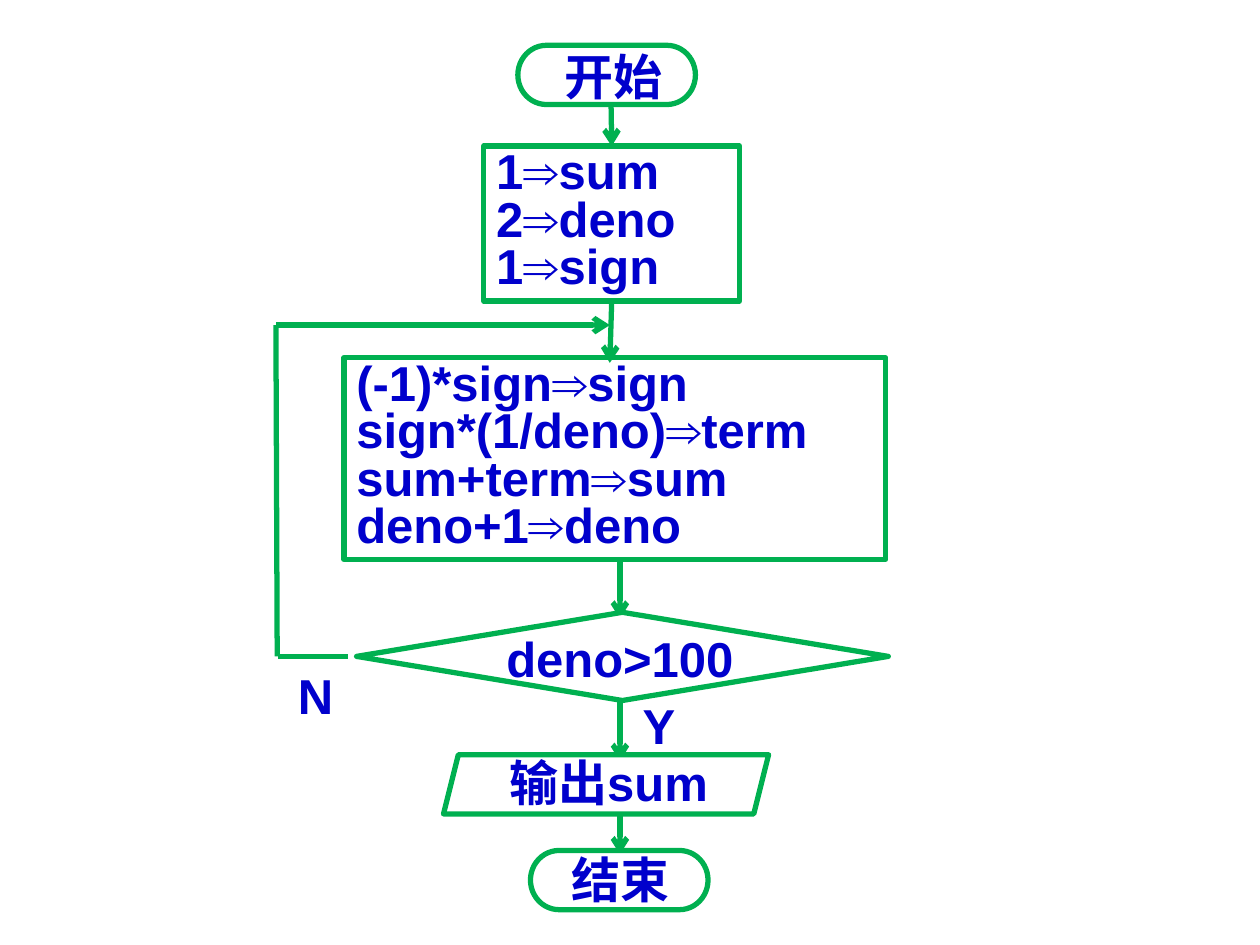
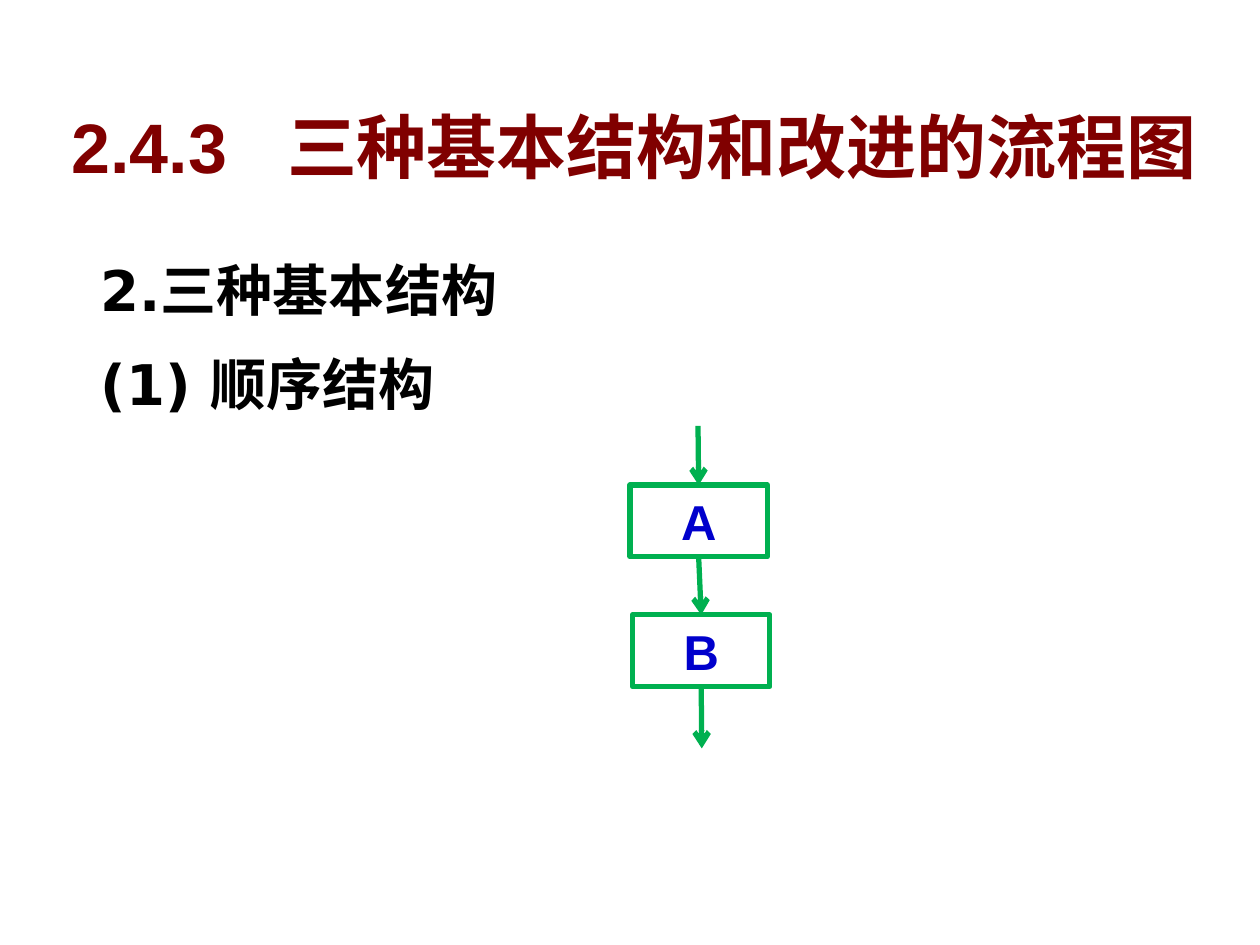
from typing import NamedTuple, Optional

from lxml.etree import SubElement
from pptx import Presentation
from pptx.dml.color import RGBColor
from pptx.enum.shapes import MSO_CONNECTOR, MSO_SHAPE as Preset
from pptx.enum.text import MSO_ANCHOR as Anchor, PP_ALIGN as Align
from pptx.oxml import parse_xml
from pptx.oxml.ns import nsdecls, qn
from pptx.util import Pt

PX = 9144  # EMU per px, 100 px to the inch
COLORS = {
    "flow": "00B050",
    "code": "0000CC",
    "title": "800000",
    "body": "000000",
    "paper": "FFFFFF",
}
TOP, BOTTOM = 0, 2  # connection sites


class TextStyle(NamedTuple):
    size: int
    color: str
    font: str = "Arial"


CODE = TextStyle(28, "code")
TITLE = TextStyle(40, "title")
BODY = TextStyle(32, "body", "DejaVu Sans")


class Step(NamedTuple):
    """Rectangle of the flow, with its lines of text."""
    left: int
    top: int
    width: int
    height: int
    text: str
    align: Align = Align.LEFT


class Symbol(NamedTuple):
    """White flow-chart outline, captioned by a Label."""
    preset: Preset
    left: int
    top: int
    width: int
    height: int


class Label(NamedTuple):
    text: str
    left: int
    top: int
    width: int
    height: int = 57
    align: Align = Align.CENTER


class Flow(NamedTuple):
    """Straight line; before and after are the steps it is joined to."""
    x1: int
    y1: int
    x2: int
    y2: int
    arrow: bool = True
    before: Optional[int] = None
    after: Optional[int] = None


def rgb(name: str) -> RGBColor:
    return RGBColor.from_string(COLORS[name])


def write(shape, text: str, style: TextStyle, align: Align = Align.LEFT):
    frame = shape.text_frame
    frame.text = text
    frame.word_wrap = True
    frame.vertical_anchor = Anchor.TOP
    for paragraph in frame.paragraphs:
        paragraph.alignment = align
        for run in paragraph.runs:
            font = run.font
            font.size, font.bold, font.name = Pt(style.size), True, style.font
            font.color.rgb = rgb(style.color)
    return frame


def outline(slide, preset: Preset, *box: int, fill: Optional[str] = None):
    shape = slide.shapes.add_shape(preset, *(n * PX for n in box))
    shape.shadow.inherit = False
    if fill:
        shape.fill.solid()
        shape.fill.fore_color.rgb = rgb(fill)
    else:
        shape.fill.background()
    shape.line.color.rgb = rgb("flow")
    shape.line.width = Pt(3)
    return shape


def draw_step(slide, step: Step):
    box = outline(slide, Preset.RECTANGLE, *step[:4])
    frame = write(box, step.text, CODE, step.align)
    if len(frame.paragraphs) > 1:
        for paragraph in frame.paragraphs:
            paragraph.line_spacing = Pt(27)
    return box


def draw_label(slide, label: Label) -> None:
    box = (label.left, label.top, label.width, label.height)
    caption = slide.shapes.add_textbox(*(n * PX for n in box))
    write(caption, label.text, CODE, label.align)


def draw_flow(slide, flow: Flow, boxes: list) -> None:
    ends = (n * PX for n in flow[:4])
    link = slide.shapes.add_connector(MSO_CONNECTOR.STRAIGHT, *ends)
    link.line.color.rgb = rgb("flow")
    link.line.width = Pt(3)
    if flow.arrow:
        SubElement(link.line._get_or_add_ln(), qn("a:tailEnd"), type="arrow")
    SubElement(link._element.spPr, qn("a:effectLst"))
    if flow.before is not None:
        link.begin_connect(boxes[flow.before], BOTTOM)
    if flow.after is not None:
        link.end_connect(boxes[flow.after], TOP)


def draw_chart(slide, steps, flows, symbols=(), labels=()) -> None:
    boxes = [draw_step(slide, step) for step in steps]
    for flow in flows:
        draw_flow(slide, flow, boxes)
    for symbol in symbols:
        outline(slide, *symbol, fill="paper")
    for label in labels:
        draw_label(slide, label)


def draw_title(slide, text: str) -> None:
    heading = slide.shapes.add_textbox(*(n * PX for n in (47, 59, 914, 113)))
    frame = write(heading, text, TITLE)
    frame.vertical_anchor = Anchor.MIDDLE
    frame.margin_right = 0
    # The tab separates the section number from its name
    paragraph = frame.paragraphs[0]
    tabs = SubElement(paragraph._p.get_or_add_pPr(), qn("a:tabLst"))
    SubElement(tabs, qn("a:tab"), pos=str(171 * PX), algn="l")
    shadow = parse_xml(
        f'<a:effectLst {nsdecls("a")}><a:outerShdw blurRad="38100" dist="38100" '
        'dir="2700000" algn="tl"><a:srgbClr val="C0C0C0"/></a:outerShdw></a:effectLst>'
    )
    for run in paragraph.runs:
        run.font._element.find(qn("a:solidFill")).addnext(shadow)


def draw_body(slide, text: str) -> None:
    body = slide.shapes.add_textbox(*(n * PX for n in (70, 187, 852, 164)))
    for number, paragraph in enumerate(write(body, text, BODY).paragraphs):
        indents = paragraph._p.get_or_add_pPr()
        indents.set("marL", str(38 * PX))
        indents.set("indent", str(-38 * PX))
        paragraph.line_spacing = 1.2
        paragraph.space_before = Pt(8 if number else 0)


# Series sum: loop until deno exceeds 100
SERIES_STEPS = [
    Step(384, 116, 203, 123, "1⇒sum\n2⇒deno\n1⇒sign"),
    Step(273, 284, 430, 160,
         "(-1)*sign⇒sign\nsign*(1/deno)⇒term\nsum+term⇒sum\ndeno+1⇒deno"),
]
SERIES_FLOWS = [
    Flow(485, 85, 484, 116, after=0),
    Flow(485, 241, 484, 288, before=0),
    Flow(492, 444, 492, 491),
    Flow(492, 557, 492, 604),
    Flow(492, 647, 492, 678),
    # Way back for N
    Flow(276, 521, 221, 521, arrow=False),
    Flow(220, 521, 219, 258, arrow=False),
    Flow(219, 258, 484, 258),
]
SERIES_SYMBOLS = [
    Symbol(Preset.FLOWCHART_TERMINATOR, 411, 36, 141, 47),
    Symbol(Preset.FLOWCHART_DECISION, 283, 486, 422, 70),
    Symbol(Preset.PARALLELOGRAM, 352, 599, 258, 47),
    Symbol(Preset.FLOWCHART_TERMINATOR, 421, 675, 141, 47),
]
SERIES_LABELS = [
    Label("开始", 438, 32, 102, align=Align.LEFT),
    Label("deno>100", 359, 494, 266),
    Label("N", 219, 523, 63),
    Label("Y", 492, 547, 62),
    Label("输出sum", 362, 592, 242),
    Label("结束", 444, 669, 102, align=Align.LEFT),
]

# Sequence structure: A, then B
SEQUENCE_STEPS = [
    Step(500, 385, 109, 57, "A", Align.CENTER),
    Step(502, 488, 109, 57, "B", Align.CENTER),
]
SEQUENCE_FLOWS = [
    Flow(554, 338, 554, 385, after=0),
    Flow(555, 441, 555, 488, before=0, after=1),
    Flow(557, 547, 557, 594, before=1),
]


def main() -> None:
    deck = Presentation()
    deck.slide_width, deck.slide_height = 1000 * PX, 750 * PX
    blank = deck.slide_layouts[6]

    series = deck.slides.add_slide(blank)
    draw_chart(series, SERIES_STEPS, SERIES_FLOWS, SERIES_SYMBOLS, SERIES_LABELS)

    sequence = deck.slides.add_slide(blank)
    draw_title(sequence, "2.4.3\t三种基本结构和改进的流程图")
    draw_body(sequence, "2.三种基本结构\n(1) 顺序结构")
    draw_chart(sequence, SEQUENCE_STEPS, SEQUENCE_FLOWS)

    deck.save("out.pptx")


if __name__ == "__main__":
    main()
